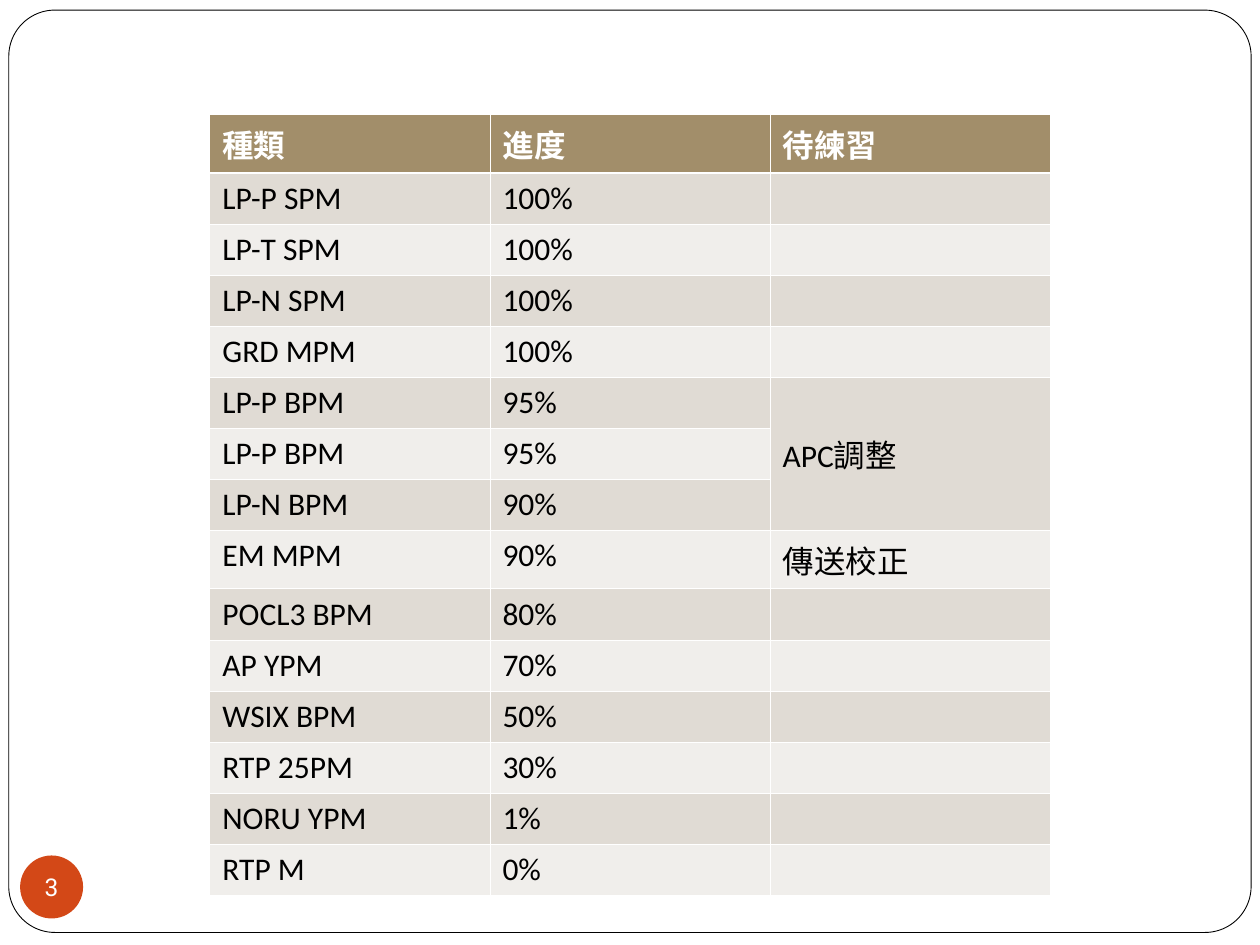
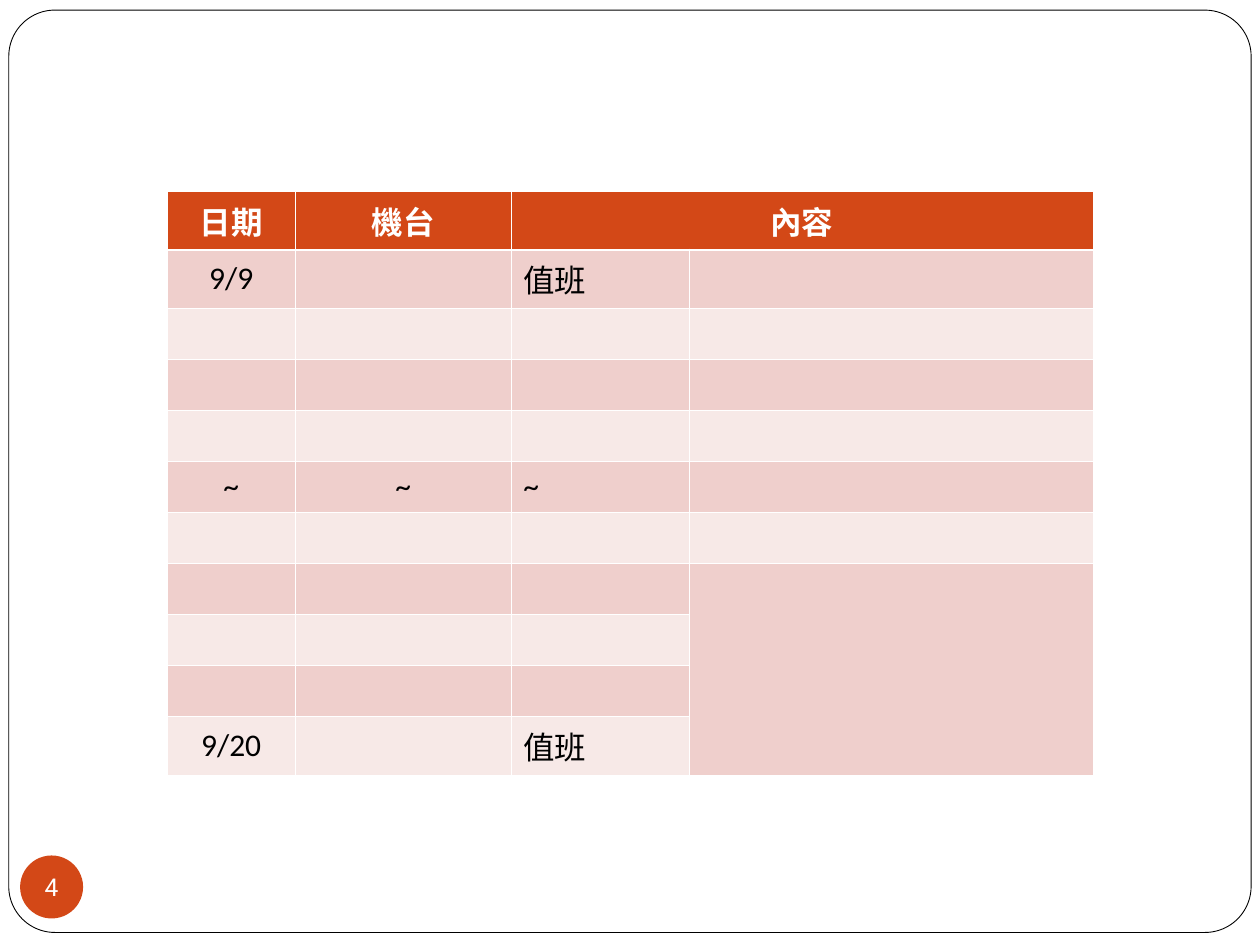
from lxml import etree
from pptx import Presentation
from pptx.dml.color import RGBColor
from pptx.enum.shapes import MSO_SHAPE
from pptx.enum.text import MSO_ANCHOR, PP_ALIGN
from pptx.oxml.ns import qn
from pptx.util import Inches, Pt

ROUNDED, OVAL = MSO_SHAPE.ROUNDED_RECTANGLE, MSO_SHAPE.OVAL
TOP, MIDDLE = MSO_ANCHOR.TOP, MSO_ANCHOR.MIDDLE
LEFT, CENTER = PP_ALIGN.LEFT, PP_ALIGN.CENTER

WHITE = RGBColor(0xFF, 0xFF, 0xFF)
BLACK = RGBColor(0x00, 0x00, 0x00)
ORANGE = RGBColor(0xD3, 0x48, 0x17)
TAN = RGBColor(0xA2, 0x8E, 0x6A)
TAN_BANDS = RGBColor(0xE0, 0xDB, 0xD4), RGBColor(0xF0, 0xEE, 0xEB)
PINK_BANDS = RGBColor(0xEF, 0xCF, 0xCC), RGBColor(0xF7, 0xE9, 0xE7)

HEADER_FONT = {"name": "Calibri", "size": Pt(18), "bold": True}
BODY_FONT = {"name": "Calibri", "size": Pt(18), "bold": False}
NUMBER_FONT = {"name": "Roboto", "size": Pt(14), "bold": False}

deck = Presentation()
deck.slide_width, deck.slide_height = Inches(10), Inches(7.5)
# Grid of 100 columns by 100 rows
COLUMN, ROW = deck.slide_width / 100, deck.slide_height / 100


def write(para, text, font_format, color, align):
    para.alignment = align
    if text:
        span = para.add_run()
        span.text = text
        for name, value in font_format.items():
            setattr(span.font, name, value)
        span.font.color.rgb = color


def draw_borders(cell, widths):
    properties = cell._tc.get_or_add_tcPr()
    for position, (side, width) in enumerate(widths.items()):
        line = etree.Element(qn(f"a:ln{side}"), w=str(Pt(width)))
        fill = etree.SubElement(line, qn("a:solidFill"))
        etree.SubElement(fill, qn("a:srgbClr"), val=str(WHITE))
        properties.insert(position, line)


# Table contents; merges run from one (row, column) to another
progress = {
    "number": 3, "top": 12.13, "height": 81.07, "columns": [22.23] * 3,
    "header_fill": TAN, "bands": TAN_BANDS, "anchor": TOP,
    "header_align": LEFT, "body_aligns": [LEFT] * 3,
    "merges": [((5, 2), (7, 2))], "middle_cells": [(5, 2)],
    "rows": [
        ["種類", "進度", "待練習"],
        ["LP-P SPM", "100%", ""],
        ["LP-T SPM", "100%", ""],
        ["LP-N SPM", "100%", ""],
        ["GRD MPM", "100%", ""],
        ["LP-P BPM", "95%", "APC調整"],
        ["LP-P BPM", "95%", ""],
        ["LP-N BPM", "90%", ""],
        ["EM MPM", "90%", "傳送校正"],
        ["POCL3 BPM", "80%", ""],
        ["AP YPM", "70%", ""],
        ["WSIX BPM", "50%", ""],
        ["RTP 25PM", "30%", ""],
        ["NORU YPM", "1%", ""],
        ["RTP M", "0%", ""],
    ],
}
EMPTY_ROW = [""] * 4
schedule = {
    "number": 4, "top": 20.27, "height": 59.47,
    "columns": [10.2, 17.1, 14.2, 32],
    "header_fill": ORANGE, "bands": PINK_BANDS, "anchor": MIDDLE,
    "header_align": CENTER, "body_aligns": [CENTER, CENTER, LEFT, LEFT],
    "merges": [((0, 2), (0, 3)), ((7, 3), (10, 3))], "middle_cells": [],
    "rows": [
        ["日期", "機台", "內容", ""],
        ["9/9", "", "值班", ""],
        *[EMPTY_ROW] * 3,
        ["~", "~", "~", ""],
        *[EMPTY_ROW] * 4,
        ["9/20", "", "值班", ""],
    ],
}

for content in (progress, schedule):
    page = deck.slides.add_slide(deck.slide_layouts[6])

    # Rounded page frame
    frame = page.shapes.add_shape(ROUNDED, int(0.7 * COLUMN), int(1.07 * ROW),
                                  int(98.6 * COLUMN), int(97.6 * ROW))
    frame.adjustments[0] = 0.05
    frame.fill.solid()
    frame.fill.fore_color.rgb = WHITE
    frame.line.color.rgb = BLACK
    frame.line.width = Pt(0.5)
    frame.shadow.inherit = False

    # Page number badge
    badge = page.shapes.add_shape(OVAL, int(1.6 * COLUMN), int(90.53 * ROW),
                                  int(5 * COLUMN), int(5 * COLUMN))
    badge.fill.solid()
    badge.fill.fore_color.rgb = ORANGE
    badge.line.fill.background()
    badge.shadow.inherit = False
    box = badge.text_frame
    box_format = {"margin_left": 0, "margin_right": 0, "margin_top": 0, "margin_bottom": 0,
                  "word_wrap": False, "vertical_anchor": MIDDLE}
    for name, value in box_format.items():
        setattr(box, name, value)
    write(box.paragraphs[0], str(content["number"]), NUMBER_FONT, WHITE, CENTER)

    # Table centred across the page
    rows, columns = content["rows"], content["columns"]
    width = sum(columns)
    table = page.shapes.add_table(
        len(rows), len(columns), int((100 - width) / 2 * COLUMN), int(content["top"] * ROW),
        int(width * COLUMN), int(content["height"] * ROW)).table
    for column, share in zip(table.columns, columns):
        column.width = int(share * COLUMN)
    for start, end in content["merges"]:
        table.cell(*start).merge(table.cell(*end))

    for row_index, texts in enumerate(rows):
        is_header = row_index == 0
        band = content["bands"][(row_index - 1) % 2]
        borders = {"L": 0.45, "R": 0.45, "T": 1.47 if row_index == 1 else 0.45,
                   "B": 1.47 if is_header else 0.45}
        for column_index, text in enumerate(texts):
            cell = table.cell(row_index, column_index)
            cell.fill.solid()
            cell.fill.fore_color.rgb = content["header_fill"] if is_header else band
            is_middle = (row_index, column_index) in content["middle_cells"]
            cell.vertical_anchor = MIDDLE if is_middle else content["anchor"]
            draw_borders(cell, borders)
            align = content["header_align"] if is_header else content["body_aligns"][column_index]
            write(cell.text_frame.paragraphs[0], text, HEADER_FONT if is_header else BODY_FONT,
                  WHITE if is_header else BLACK, align)

deck.save("out.pptx")
